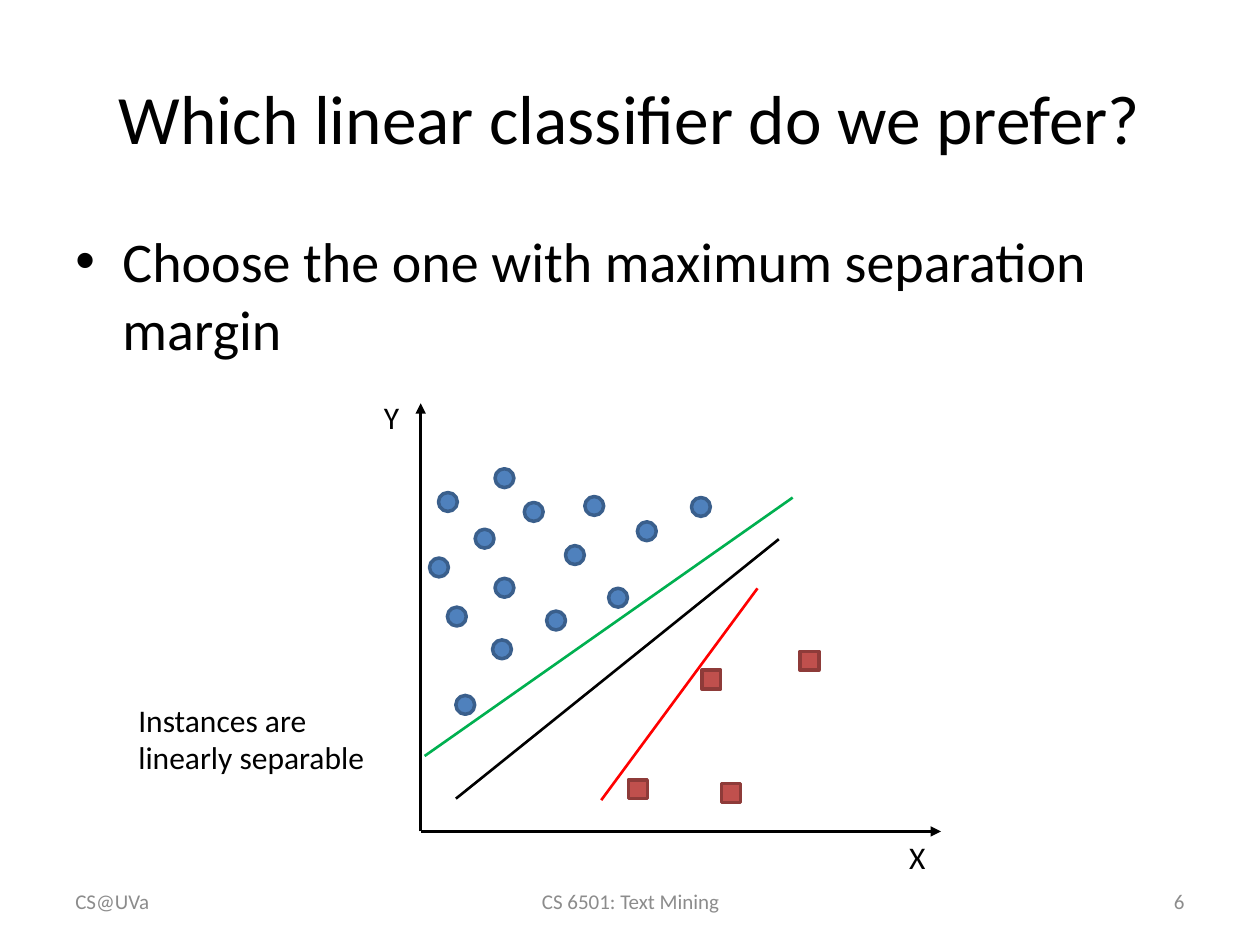
from lxml import etree
from pptx import Presentation
from pptx.dml.color import RGBColor
from pptx.enum.shapes import MSO_CONNECTOR, MSO_SHAPE
from pptx.enum.text import MSO_ANCHOR, MSO_AUTO_SIZE, PP_ALIGN
from pptx.oxml.ns import qn
from pptx.util import Cm, Pt

LEFT, CENTER, RIGHT = PP_ALIGN.LEFT, PP_ALIGN.CENTER, PP_ALIGN.RIGHT
TOP, MIDDLE = MSO_ANCHOR.TOP, MSO_ANCHOR.MIDDLE
FIT_SHAPE, NO_FIT = MSO_AUTO_SIZE.SHAPE_TO_FIT_TEXT, MSO_AUTO_SIZE.NONE
CIRCLE, SQUARE = MSO_SHAPE.OVAL, MSO_SHAPE.RECTANGLE
STRAIGHT = MSO_CONNECTOR.STRAIGHT

FONT = "Calibri"
BLACK, GRAY = "000000", "8C8C8C"
MARKER_SIZE = 0.38
BULLET_INDENT = 0.95
ORIGIN = (8.48, 16.76)
AXIS_ENDS = [(18.97, 16.76), (8.48, 8.13)]

BLUE_CLASS = {"kind": CIRCLE, "fill": "4F81BD", "outline": "3A5F8C"}
RED_CLASS = {"kind": SQUARE, "fill": "C0504D", "outline": "8E3B39"}
BLUE_POINTS = [
    (9.93, 12.9), (9.02, 12.24), (9.98, 11.66), (11.02, 12.32), (10.57, 10.13),
    (9.19, 14.02), (12.85, 10.52), (11.4, 11), (9.58, 10.67), (11.79, 10.01),
    (9.98, 9.45), (12.27, 11.86), (8.84, 9.93), (8.66, 11.25), (13.94, 10.03),
]
RED_POINTS = [(14.15, 13.51), (16.13, 13.13), (14.55, 15.8), (12.67, 15.72)]
CLASSIFIERS = [
    ((8.56, 15.24), (15.98, 10.03), "00B050"),
    ((9.19, 16.1), (15.7, 10.87), BLACK),
    ((12.12, 16.13), (15.27, 11.86), "FF0000"),
]
FOOTERS = [
    ("CS@UVa", 1.27, 5.92, LEFT),
    ("CS 6501: Text Mining", 8.69, 8.05, CENTER),
    ("6", 18.21, 5.92, RIGHT),
]
LABELS = [
    ("Y", (7.49, 7.9, 1.52, 1.02)),
    ("X", (18.08, 16.76, 1.52, 1.02)),
    ("Instances are linearly separable", (2.54, 14, 5.92, 1.8)),
]


def rgb(color):
    return RGBColor.from_string(color)


def add_bullet(para):
    properties = para._p.get_or_add_pPr()
    properties.set("marL", str(Cm(BULLET_INDENT)))
    properties.set("indent", str(-Cm(BULLET_INDENT)))
    etree.SubElement(properties, qn("a:buFont")).set("typeface", "Arial")
    etree.SubElement(properties, qn("a:buChar")).set("char", "•")


def add_text(page, text, area, size, color=BLACK, align=LEFT, anchor=TOP,
             fit=NO_FIT, bullet=False):
    box = page.shapes.add_textbox(*map(Cm, area))
    frame = box.text_frame
    frame_format = {"word_wrap": True, "vertical_anchor": anchor, "auto_size": fit}
    for name, value in frame_format.items():
        setattr(frame, name, value)
    para = frame.paragraphs[0]
    para.alignment = align
    if bullet:
        add_bullet(para)
    span = para.add_run()
    span.text = text
    for name, value in {"name": FONT, "size": Pt(size)}.items():
        setattr(span.font, name, value)
    span.font.color.rgb = rgb(color)


def add_line(page, start, end, color, arrow=False):
    line = page.shapes.add_connector(STRAIGHT, *map(Cm, start + end))
    line.line.width = Pt(1.5)
    line.line.color.rgb = rgb(color)
    if arrow:
        outline = line.line._get_or_add_ln()
        etree.SubElement(outline, qn("a:tailEnd")).set("type", "triangle")
    etree.SubElement(line._element.spPr, qn("a:effectLst"))


def add_marker(page, point, kind, fill, outline):
    marker = page.shapes.add_shape(
        kind, *map(Cm, point), Cm(MARKER_SIZE), Cm(MARKER_SIZE))
    marker.shadow.inherit = False
    marker.fill.solid()
    marker.fill.fore_color.rgb = rgb(fill)
    marker.line.color.rgb = rgb(outline)
    marker.line.width = Pt(2)


def add_plot(page):
    for end in AXIS_ENDS:
        add_line(page, ORIGIN, end, BLACK, arrow=True)
    for points, style in [(BLUE_POINTS, BLUE_CLASS), (RED_POINTS, RED_CLASS)]:
        for point in points:
            add_marker(page, point, **style)
    for start, end, color in CLASSIFIERS:
        add_line(page, start, end, color)
    for text, area in LABELS:
        add_text(page, text, area, 18, fit=FIT_SHAPE)


def main():
    deck = Presentation()
    deck.slide_width, deck.slide_height = Cm(25.4), Cm(19.05)
    page = deck.slides.add_slide(deck.slide_layouts[6])
    add_text(page, "Which linear classifier do we prefer?",
             (1.27, 0.76, 22.86, 3.18), 39.6, align=CENTER, anchor=MIDDLE)
    add_text(page, "Choose the one with maximum separation margin",
             (1.27, 4.45, 22.86, 12.57), 32, bullet=True)
    for text, left, width, align in FOOTERS:
        add_text(page, text, (left, 17.65, width, 1.02), 12, GRAY, align, MIDDLE)
    add_plot(page)
    deck.save("out.pptx")


if __name__ == "__main__":
    main()
